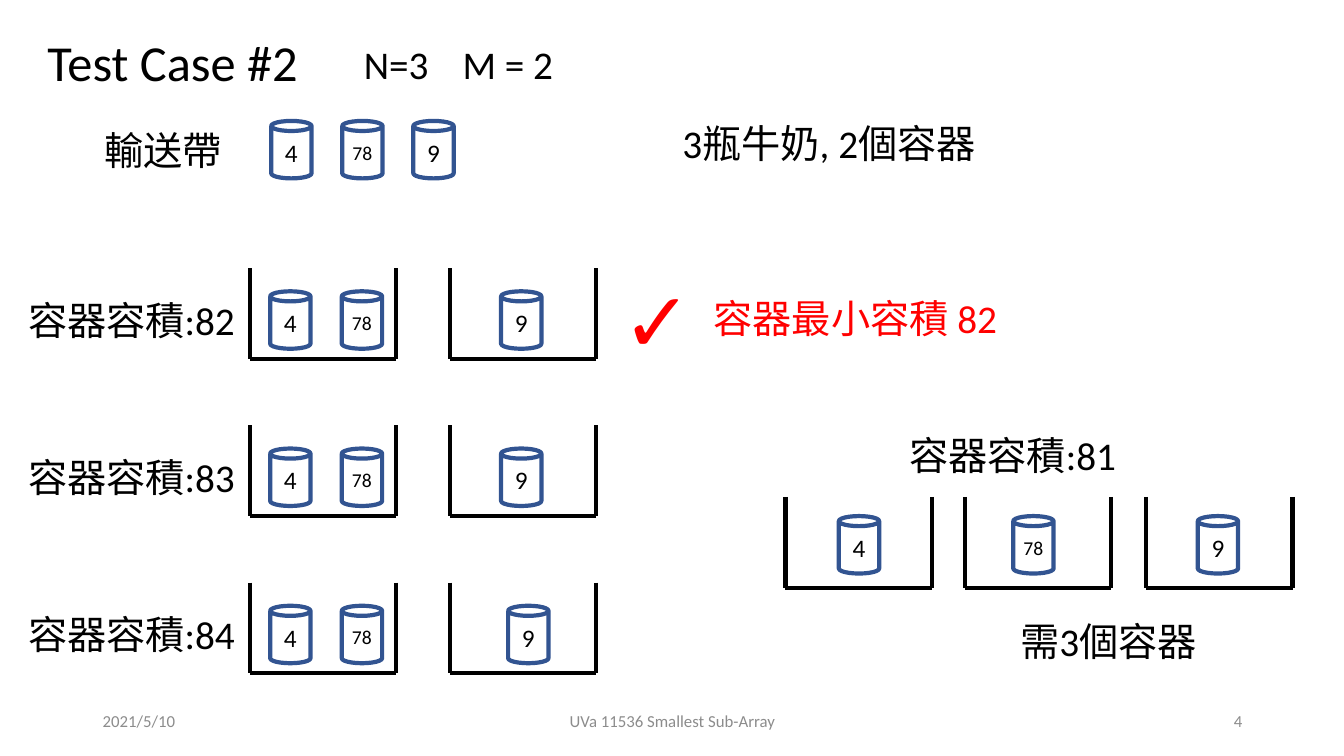
from lxml.etree import SubElement
from pptx import Presentation
from pptx.dml.color import RGBColor
from pptx.enum.shapes import MSO_CONNECTOR as Connector, MSO_SHAPE as Shape
from pptx.enum.text import MSO_ANCHOR as Anchor, PP_ALIGN as Align
from pptx.oxml.ns import qn
from pptx.util import Inches, Pt

BLACK = RGBColor(0x00, 0x00, 0x00)
RED = RGBColor(0xFF, 0x00, 0x00)
GRAY = RGBColor(0x8C, 0x8C, 0x8C)
BLUE = RGBColor(0x32, 0x54, 0x91)
LATIN_FONT = "Calibri"
CJK_FONT = "Noto Sans CJK SC"

BOTTLES = ("4", "78", "9")
BOTTLE_WIDTH, BOTTLE_HEIGHT = 0.4, 0.57
CONTAINER_WIDTH, CONTAINER_HEIGHT = 1.45, 0.9


def add_runs(paragraph, texts, size, color):
    for text in texts:
        run = paragraph.add_run()
        run.text = text
        run.font.size = Pt(size)
        run.font.name = LATIN_FONT
        run.font.color.rgb = color
        SubElement(run.font._element, qn("a:ea"), typeface=CJK_FONT)


def add_label(slide, box, texts, size=28, color=BLACK, align=Align.LEFT, anchor=Anchor.TOP):
    label = slide.shapes.add_textbox(*map(Inches, box))
    frame = label.text_frame
    frame.word_wrap = True
    frame.vertical_anchor = anchor
    paragraph = frame.paragraphs[0]
    paragraph.alignment = align
    add_runs(paragraph, texts, size, color)
    return paragraph


def add_bottle(slide, left, top, volume):
    bottle = slide.shapes.add_shape(
        Shape.CAN, Inches(left), Inches(top), Inches(BOTTLE_WIDTH), Inches(BOTTLE_HEIGHT))
    bottle.shadow.inherit = False
    bottle.fill.background()
    bottle.line.color.rgb = BLUE
    bottle.line.width = Pt(3)
    frame = bottle.text_frame
    frame.word_wrap = False
    frame.margin_left = frame.margin_right = frame.margin_top = frame.margin_bottom = 0
    frame.vertical_anchor = Anchor.MIDDLE
    frame.paragraphs[0].alignment = Align.CENTER
    add_runs(frame.paragraphs[0], [volume], 18 if len(volume) == 1 else 14, BLACK)


def add_container(slide, left, top):
    right, bottom = left + CONTAINER_WIDTH, top + CONTAINER_HEIGHT
    walls = ((left, top, left, bottom), (left, bottom, right, bottom), (right, top, right, bottom))
    for wall in walls:
        line = slide.shapes.add_connector(Connector.STRAIGHT, *map(Inches, wall))
        line.line.color.rgb = BLACK
        line.line.width = Pt(3)
        SubElement(line._element.spPr, qn("a:effectLst"))


def add_heading(slide, left, top):
    title = slide.shapes.title
    title.left, title.top = Inches(left), Inches(top)
    title.width, title.height = Inches(3.03), Inches(0.71)
    title.text_frame.vertical_anchor = Anchor.TOP
    paragraph = title.text_frame.paragraphs[0]
    paragraph.alignment = Align.LEFT
    add_runs(paragraph, ["Test Case #2"], 36, BLACK)
    # Input sizes, set apart by a tab stop
    sizes = add_label(slide, (left + 3.14, top + 0.09, 2.24, 0.57), ["N=3\tM = 2"])
    tabs = SubElement(sizes._p.get_or_add_pPr(), qn("a:tabLst"))
    SubElement(tabs, qn("a:tab"), pos=str(Inches(0.98)), algn="l")


def add_conveyor(slide, left, top):
    add_label(slide, (left, top, 1.54, 0.57), ["輸送帶"])
    for index, volume in enumerate(BOTTLES):
        add_bottle(slide, left + 1.75 + 0.705 * index, top, volume)
    add_label(slide, (left + 5.73, top - 0.07, 3.22, 0.57), ["3", "瓶牛奶", ", 2", "個容器"])


def add_capacity_row(slide, left, top, capacity, last_bottle_shift=0):
    """Two containers that hold all bottles."""
    for offset in (2.3, 4.28):
        add_container(slide, left + offset, top)
    bottle_offsets = (2.5, 3.21, 4.79 + last_bottle_shift)
    for offset, volume in zip(bottle_offsets, BOTTLES):
        add_bottle(slide, left + offset, top + 0.23, volume)
    add_label(slide, (left, top + 0.23, 2.66, 0.57), ["容器容積:", capacity])


def add_answer(slide, left, top):
    add_label(slide, (left, top, 0.91, 1.11), ["✓"], 60, RED)
    add_label(slide, (left + 0.9, top + 0.26, 3.22, 0.57), ["容器最小容積 ", "82"], color=RED)


def add_failed_case(slide, left, top):
    """One bottle per container: too many containers."""
    add_label(slide, (left + 1.13, top, 2.66, 0.57), ["容器容積:", "81"])
    places = ((0, 0.53), (1.78, 2.26), (3.58, 4.09))
    for (container, bottle), volume in zip(places, BOTTLES):
        add_container(slide, left + container, top + 0.7)
        add_bottle(slide, left + bottle, top + 0.89, volume)
    add_label(slide, (left + 2.23, top + 1.85, 2, 0.57), ["需", "3", "個容器"])


def add_footer(slide, top):
    parts = ((0.92, 3, "2021/5/10", Align.LEFT),
             (4.42, 4.5, "UVa 11536 Smallest Sub-Array", Align.CENTER),
             (9.42, 3, "4", Align.RIGHT))
    for left, width, text, align in parts:
        add_label(slide, (left, top, width, 0.4), [text], 12, GRAY, align, Anchor.MIDDLE)


def main():
    presentation = Presentation()
    presentation.slide_width = Inches(13.33)
    presentation.slide_height = Inches(7.5)
    slide = presentation.slides.add_slide(presentation.slide_layouts[5])

    add_heading(slide, 0.37, 0.26)
    add_conveyor(slide, 0.94, 1.2)
    # Capacities that suffice
    for index, capacity in enumerate(("82", "83", "84")):
        shift = 0.07 if capacity == "84" else 0
        add_capacity_row(slide, 0.18, 2.66 + 1.56 * index, capacity, shift)
    add_answer(slide, 6.08, 2.61)
    add_failed_case(slide, 7.79, 4.23)
    add_footer(slide, 6.95)
    presentation.save("out.pptx")


if __name__ == "__main__":
    main()
